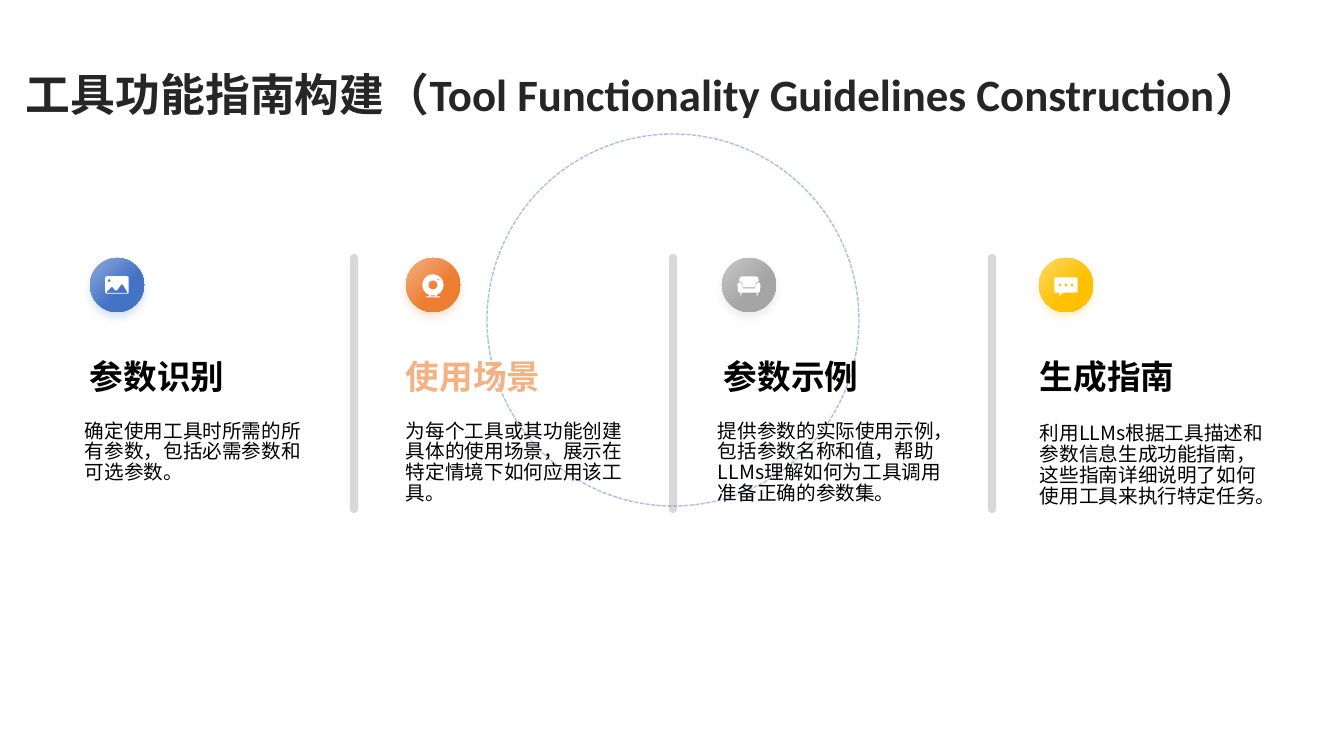
"""Build the slide on constructing tool functionality guidelines."""
import math

from lxml import etree
from pptx import Presentation
from pptx import util as u
from pptx.dml.color import RGBColor
from pptx.enum import dml, lang, shapes, text
from pptx.oxml import ns

EMU_PER_PX = 914400 / 100.8
ICON_UNIT = EMU_PER_PX / 10
CJK_FONT = "Noto Sans CJK SC"
LATIN_FONT = "Calibri"
BADGE_SIZE = 54

WHITE = RGBColor(0xFF, 0xFF, 0xFF)
BLACK = RGBColor(0x00, 0x00, 0x00)
TITLE_GREY = RGBColor(0x26, 0x26, 0x26)
DIVIDER_GREY = RGBColor(0x80, 0x80, 0x80)
RING_BLUE = RGBColor(0xAB, 0xC0, 0xE4)
LIGHT_BLUE = RGBColor(0x8F, 0xAA, 0xDC)
BLUE = RGBColor(0x44, 0x72, 0xC4)
LIGHT_ORANGE = RGBColor(0xF4, 0xB1, 0x83)
ORANGE = RGBColor(0xED, 0x7D, 0x31)
LIGHT_GREY = RGBColor(0xC9, 0xC9, 0xC9)
GREY = RGBColor(0xA5, 0xA5, 0xA5)
LIGHT_GOLD = RGBColor(0xFF, 0xD9, 0x66)
GOLD = RGBColor(0xFF, 0xC0, 0x00)


def px(length):
    return u.Emu(round(length * EMU_PER_PX))


def add_child(parent, tag, **attributes):
    child = etree.SubElement(parent, ns.qn(tag))
    for name, value in attributes.items():
        child.set(name, str(value))
    return child


def add_text(slide, content, left, top, width, height, *, size, color=BLACK, bold=False,
             font=CJK_FONT, line_spacing=None, inset=None, anchor=text.MSO_ANCHOR.TOP):
    box = slide.shapes.add_textbox(px(left), px(top), px(width), px(height))
    frame = box.text_frame
    frame.word_wrap = True
    frame.auto_size = text.MSO_AUTO_SIZE.SHAPE_TO_FIT_TEXT
    frame.vertical_anchor = anchor
    if inset is not None:
        frame.margin_left = frame.margin_right = px(inset)
        frame.margin_top = frame.margin_bottom = px(inset)
    paragraph = frame.paragraphs[0]
    if line_spacing:
        paragraph.line_spacing = u.Pt(line_spacing)
    run = paragraph.add_run()
    run.text = content
    run.font.name = font
    run.font.size = u.Pt(size)
    run.font.bold = bold
    run.font.color.rgb = color
    run.font.language_id = lang.MSO_LANGUAGE_ID.SIMPLIFIED_CHINESE
    add_child(run.font._element, "a:ea", typeface=CJK_FONT)


def add_circle(slide, left, top, size):
    circle = slide.shapes.add_shape(
        shapes.MSO_SHAPE.OVAL, px(left), px(top), px(size), px(size))
    circle.shadow.inherit = False
    return circle


def add_ring(slide, left, top, size):
    ring = add_circle(slide, left, top, size)
    ring.fill.background()
    ring.line.color.rgb = RING_BLUE
    ring.line.width = u.Pt(1)
    ring.line.dash_style = dml.MSO_LINE.SQUARE_DOT


def add_badge(slide, left, top, light, dark):
    badge = add_circle(slide, left, top, BADGE_SIZE)
    badge.line.fill.background()
    badge.fill.gradient()
    badge.fill.gradient_angle = 315
    for stop, color, position in zip(badge.fill.gradient_stops, (light, dark), (0, 0.6)):
        stop.color.rgb = color
        stop.position = position
    effects = badge._element.spPr.find(ns.qn("a:effectLst"))
    shadow = add_child(effects, "a:outerShdw", blurRad=u.Pt(6), dist=u.Pt(4),
                       dir=90 * 60000, algn="t", rotWithShape=0)
    add_child(add_child(shadow, "a:srgbClr", val=dark), "a:alpha", val=20000)


def add_divider(slide, x, top, bottom):
    divider = slide.shapes.add_connector(
        shapes.MSO_CONNECTOR.STRAIGHT, px(x), px(bottom), px(x), px(top))
    divider.line.color.rgb = DIVIDER_GREY
    divider.line.width = u.Pt(6)
    line = divider.line._ln
    line.set("cap", "rnd")
    add_child(line.find(".//" + ns.qn("a:srgbClr")), "a:alpha", val=30000)
    add_child(divider._element.spPr, "a:effectLst")


def add_icon(slide, center_x, center_y, contours):
    first, *others = contours
    builder = slide.shapes.build_freeform(*first[0], scale=ICON_UNIT)
    builder.add_line_segments(first[1:], close=True)
    for contour in others:
        builder.move_to(*contour[0])
        builder.add_line_segments(contour[1:], close=True)
    icon = builder.convert_to_shape(px(center_x), px(center_y))
    icon.shadow.inherit = False
    icon.fill.solid()
    icon.fill.fore_color.rgb = WHITE
    icon.line.fill.background()


def arc(x, y, radius, start=0, end=360, steps=24):
    angles = [math.radians(start + (end - start) * i / steps) for i in range(steps + 1)]
    return [(round(x + radius * math.cos(a)), round(y + radius * math.sin(a))) for a in angles]


def rounded_box(half_width, half_height, radius):
    x, y = half_width - radius, half_height - radius
    corners = [(x, y), (-x, y), (-x, -y), (x, -y)]
    return [point for i, (cx, cy) in enumerate(corners)
            for point in arc(cx, cy, radius, 90 * i, 90 * i + 90, 5)]


def mirrored(half):
    return half + [(-x, y) for x, y in reversed(half)]


def picture_icon():
    mountains = [(50, -7), (42, -3), (2, 52), (-8, 57), (-20, 52), (-41, 25), (-50, 20),
                 (-61, 25), (-104, 72), (-100, 80), (100, 80), (104, 72), (59, -2)]
    return [rounded_box(117, 87, 16), mountains, arc(-78, -43, 15)]


def webcam_icon():
    body = arc(0, 0, 106, 110, 430) + mirrored([(46, 114), (70, 114), (70, 124)])
    neck = mirrored([(20, 104), (30, 114)])
    return [body, neck, arc(0, 0, 45), arc(54, -53, 9)]


def armchair_icon():
    seat = mirrored([(60, 35), (68, -5), (80, -22), (96, -25), (112, -16), (115, 0),
                     (110, 65), (96, 76), (86, 76), (86, 106), (76, 106), (76, 76)])
    back = mirrored([(64, -86), (88, -78), (96, -55), (96, -35), (75, -30), (65, -15), (56, 25)])
    return [seat, back]


def speech_icon():
    bubble = rounded_box(116, 76, 14)
    tail = [(-25, 76), (-65, 106), (-65, 76)]
    return [bubble[:6] + tail + bubble[6:]] + [arc(x, 0, 15) for x in (-60, 0, 60)]


def main():
    presentation = Presentation()
    presentation.slide_width, presentation.slide_height = px(1344), px(756)
    slide = presentation.slides.add_slide(presentation.slide_layouts[6])
    add_text(slide, "工具功能指南构建（Tool Functionality Guidelines Construction）",
             26, 66, 1260, 54, size=32, color=TITLE_GREY, bold=True, font=LATIN_FONT,
             inset=0, anchor=text.MSO_ANCHOR.BOTTOM)
    add_ring(slide, 487, 134, 372)
    steps = [
        ("参数识别", 80, BLACK, "确定使用工具时所需的所有参数，包括必需参数和可选参数。",
         75, 416, LIGHT_BLUE, BLUE, picture_icon()),
        ("使用场景", 396, LIGHT_ORANGE,
         "为每个工具或其功能创建具体的使用场景，展示在特定情境下如何应用该工具。",
         396, 416, LIGHT_ORANGE, ORANGE, webcam_icon()),
        ("参数示例", 714, BLACK,
         "提供参数的实际使用示例，包括参数名称和值，帮助LLMs理解如何为工具调用准备正确的参数集。",
         708, 416, LIGHT_GREY, GREY, armchair_icon()),
        ("生成指南", 1030, BLACK,
         "利用LLMs根据工具描述和参数信息生成功能指南，这些指南详细说明了如何使用工具来执行特定任务。",
         1030, 419, LIGHT_GOLD, GOLD, speech_icon()),
    ]
    for i, (heading, heading_left, color, body, body_left, body_top,
            light, dark, icon) in enumerate(steps):
        add_text(slide, heading, heading_left, 351, 180, 50, size=24, color=color, bold=True)
        add_text(slide, body, body_left, body_top, 253, 95, size=14, line_spacing=15)
        badge_left = 90 + 949 * i // 3
        add_badge(slide, badge_left, 258, light, dark)
        add_icon(slide, badge_left + BADGE_SIZE // 2, 258 + BADGE_SIZE // 2, icon)
    for i in range(3):
        add_divider(slide, 354 + 319 * i, 258, 509)
    presentation.save("out.pptx")


if __name__ == "__main__":
    main()
